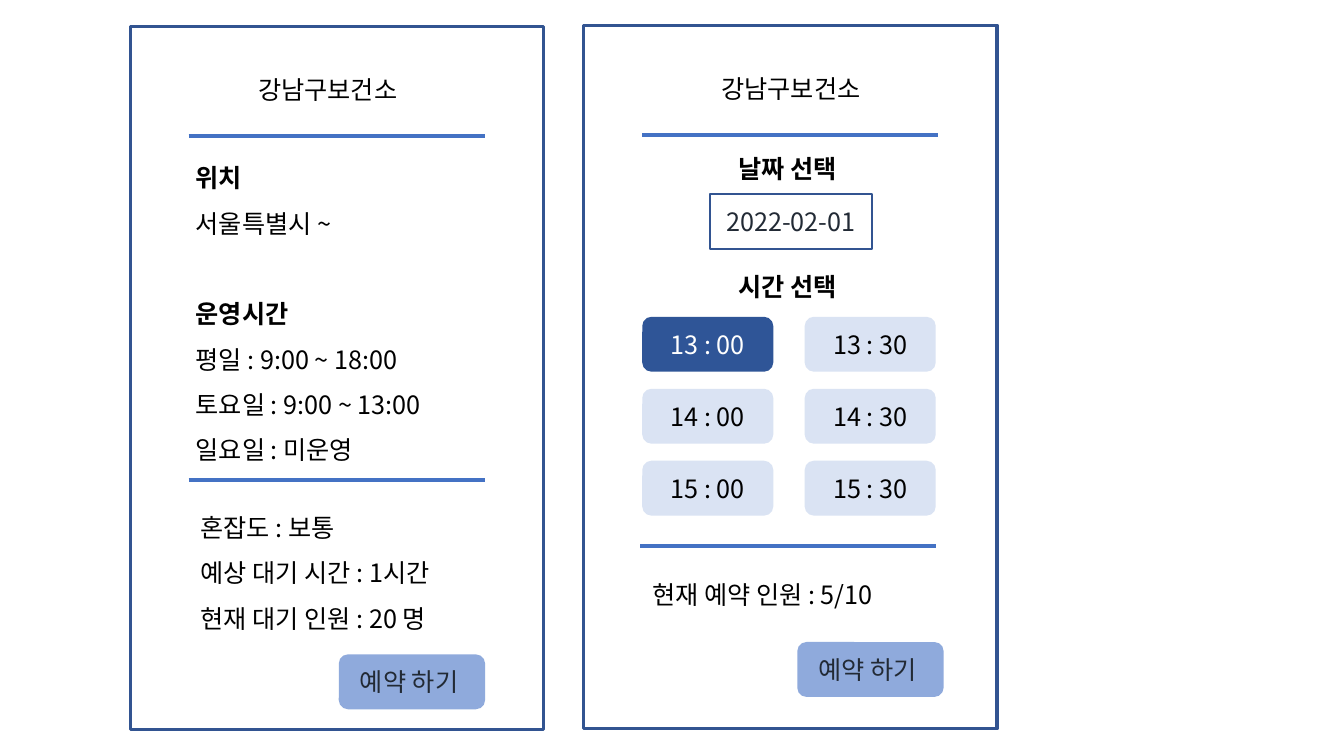
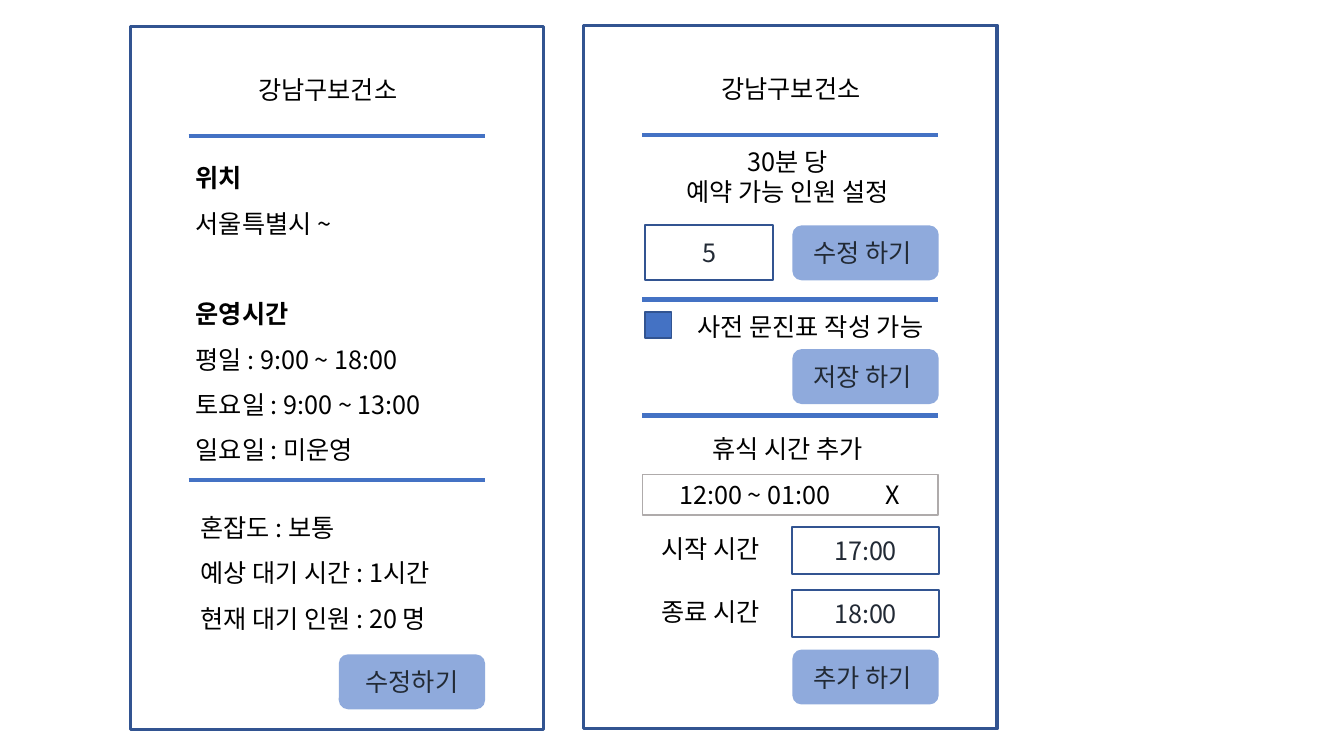
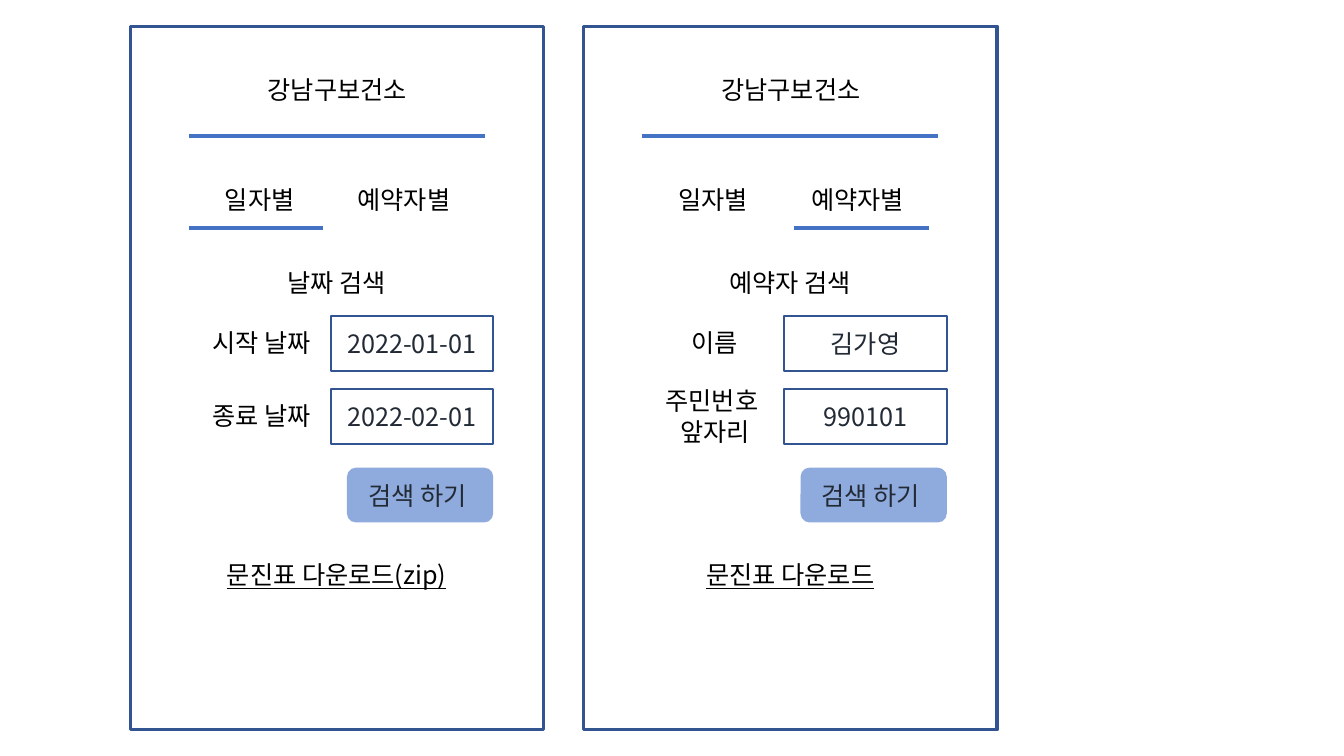
from dataclasses import dataclass
from itertools import product

from lxml.etree import SubElement
from pptx import Presentation
from pptx.dml.color import RGBColor
from pptx.enum.shapes import MSO_CONNECTOR as Connector, MSO_SHAPE as Preset
from pptx.enum.text import MSO_ANCHOR as Anchor, MSO_AUTO_SIZE as AutoSize, PP_ALIGN as Align
from pptx.oxml.ns import qn
from pptx.util import Pt


@dataclass(frozen=True)
class Theme:
    font: str = "Noto Sans CJK KR"
    size: float = 18
    black: str = "000000"
    white: str = "FFFFFF"
    ink: str = "222A35"
    border: str = "325491"
    accent: str = "4472C4"
    button: str = "8FAADC"
    slot: str = "DAE3F3"
    chosen: str = "2F5597"
    grey: str = "AFABAB"


THEME = Theme()
CLINIC = "강남구보건소"
LEFT, RIGHT = 93, 417
INSET, CONTENT_WIDTH = 41.8, 211.4
BUTTON_WIDTH, FIELD_WIDTH, BOX_HEIGHT = 104.5, 116, 39.2
LOCATION = "위치\n서울특별시 ~\n운영시간\n평일 : 9:00 ~ 18:00\n토요일 : 9:00 ~ 13:00\n일요일 : 미운영"
WAITING = "혼잡도 : 보통\n예상 대기 시간 : 1시간\n현재 대기 인원 : 20 명"


def apply_format(target, values):
    for name, value in values.items():
        setattr(target, name, value)


def place(shape, left, top, width, height):
    box = dict(left=left, top=top, width=width, height=height)
    apply_format(shape, {name: Pt(value) for name, value in box.items()})


def write(shape, text, colour=THEME.black, align=Align.CENTER, anchor=Anchor.TOP,
          spacing=1.0, bold=False, underline=False):
    frame = shape.text_frame
    apply_format(frame, dict(text=text, word_wrap=True, auto_size=AutoSize.NONE,
                             vertical_anchor=anchor))
    for paragraph in frame.paragraphs:
        apply_format(paragraph, dict(alignment=align, line_spacing=spacing, space_before=Pt(0)))
        for run in paragraph.runs:
            apply_format(run.font, dict(name=THEME.font, size=Pt(THEME.size),
                                        bold=bold, underline=underline))
            run.font.color.rgb = RGBColor.from_string(colour)
            SubElement(run._r.get_or_add_rPr(), qn("a:ea"), typeface=THEME.font)


def add_text(slide, left, top, width, height, text, **style):
    label = slide.shapes.add_textbox(Pt(left), Pt(top), Pt(width), Pt(height))
    write(label, text, **style)
    return label


def add_box(slide, left, top, width, height, fill=None, line=None, weight=1.5, preset=Preset.RECTANGLE):
    shape = slide.shapes.add_shape(preset, Pt(left), Pt(top), Pt(width), Pt(height))
    shape.shadow.inherit = False
    if fill:
        shape.fill.solid()
        shape.fill.fore_color.rgb = RGBColor.from_string(fill)
    else:
        shape.fill.background()
    if line:
        shape.line.color.rgb = RGBColor.from_string(line)
        shape.line.width = Pt(weight)
    else:
        shape.line.fill.background()
    return shape


def add_button(slide, left, top, text, width=BUTTON_WIDTH, fill=THEME.button, colour=THEME.ink):
    button = add_box(slide, left, top, width, BOX_HEIGHT, fill, preset=Preset.ROUNDED_RECTANGLE)
    write(button, text, colour, anchor=Anchor.MIDDLE)


def add_field(slide, left, top, text, width=FIELD_WIDTH, height=BOX_HEIGHT):
    field = add_box(slide, left, top, width, height, THEME.white, THEME.border)
    write(field, text, THEME.ink, anchor=Anchor.MIDDLE)


def add_rule(slide, left, top, width=CONTENT_WIDTH):
    rule = slide.shapes.add_connector(Connector.STRAIGHT, Pt(left), Pt(top), Pt(left + width), Pt(top))
    rule.line.color.rgb = RGBColor.from_string(THEME.accent)
    rule.line.width = Pt(3)
    SubElement(rule._element.spPr, qn("a:effectLst"))


def add_panel(slide, left, top, align=Align.CENTER):
    add_box(slide, left, top, 295.2, 502.6, line=THEME.border, weight=2.25)
    add_rule(slide, left + INSET, top + 78.3)
    heading = (left + 84.2, top + 31, 127.5, 29)
    if left == LEFT:
        place(slide.shapes.title, *heading)
        write(slide.shapes.title, CLINIC, align=align)
    else:
        add_text(slide, *heading, CLINIC, align=align)


def add_location(slide):
    body = slide.placeholders[1]
    place(body, LEFT + 39.6, 101.7, CONTENT_WIDTH, 232)
    write(body, LOCATION, align=Align.LEFT, spacing=1.5)
    paragraphs = body.text_frame.paragraphs
    for paragraph in paragraphs:
        properties = paragraph._p.get_or_add_pPr()
        properties.set("marL", "0")
        properties.set("indent", "0")
        SubElement(properties, qn("a:buNone"))
    for heading in (paragraphs[0], paragraphs[2]):
        heading.runs[0].font.bold = True
    paragraphs[2].space_before = Pt(32.4)


def add_clinic_panel(slide, action):
    add_panel(slide, LEFT, 18.7, Align.LEFT)
    add_location(slide)
    add_rule(slide, LEFT + INSET, 342.7)
    add_text(slide, LEFT + 43.2, 351.5, CONTENT_WIDTH, 101.5, WAITING, align=Align.LEFT, spacing=1.5)
    add_button(slide, LEFT + 149, 467.4, action)


def add_booking_panel(slide):
    add_panel(slide, RIGHT, 18)
    for top, text in ((105.8, "날짜 선택"), (190, "시간 선택")):
        add_text(slide, RIGHT + 82, top, 127.5, 29, text, bold=True)
    add_field(slide, RIGHT + 90, 138.8, "2022-02-01")
    for row, column in product(range(3), range(2)):
        chosen = row == column == 0
        add_button(slide, RIGHT + INSET + 116 * column, 226.3 + 51.4 * row,
                   f"{13 + row} : {30 * column:02}", 93.6,
                   THEME.chosen if chosen else THEME.slot,
                   THEME.white if chosen else THEME.black)
    add_rule(slide, RIGHT + 40.3, 389.8)
    add_text(slide, RIGHT + INSET, 399.6, CONTENT_WIDTH, 36, "현재 예약 인원 : 5/10",
             align=Align.LEFT, spacing=1.5)
    add_button(slide, RIGHT + 152.5, 458.6, "예약 하기 ")


def add_break_row(slide, left):
    row = add_box(slide, left, 338.9, CONTENT_WIDTH, 29, line=THEME.grey, weight=1)
    write(row, "\t12:00 ~ 01:00\tX", align=Align.LEFT)
    tabs = SubElement(row.text_frame.paragraphs[0]._p.get_or_add_pPr(), qn("a:tabLst"))
    for position in (19.5, 167):
        SubElement(tabs, qn("a:tab"), pos=str(Pt(position)), algn="l")


def add_settings_panel(slide):
    left, action_left = RIGHT + INSET, RIGHT + 149
    add_panel(slide, RIGHT, 18)
    add_text(slide, left, 100.8, CONTENT_WIDTH, 51, "30분 당 \n예약 가능 인원 설정 ")
    add_field(slide, left + 2, 161, "5", 91.5)
    for top, text in ((161, "수정 하기 "), (249.4, "저장 하기 "), (464, "추가 하기 ")):
        add_button(slide, action_left, top, text)
    for top in (214, 296.8):
        add_rule(slide, left, top)
    add_box(slide, left + 2, 222.8, 18.7, 18.7, THEME.accent, THEME.border, 1)
    add_text(slide, left + 14.4, 218.9, CONTENT_WIDTH, 29, "사전 문진표 작성 가능")
    add_text(slide, left, 306, CONTENT_WIDTH, 29, "휴식 시간 추가 ")
    add_break_row(slide, left)
    for top, label, time in ((376.3, "시작 시간", "17:00"), (421.3, "종료 시간", "18:00")):
        add_text(slide, left + 2, top + 1, 93.6, 29, label)
        add_field(slide, action_left, top, time, BUTTON_WIDTH, 33.8)


def add_search_panel(slide, left, tab_left, title, rows, download):
    add_panel(slide, left, 18.7)
    for tab, text in ((47.5, "일자별"), (150.5, "예약자별")):
        add_text(slide, left + tab, 128.2, 90, 29, text)
    add_rule(slide, left + tab_left, 162.7, 95.8)
    add_text(slide, left + INSET, 176.4, CONTENT_WIDTH, 36, title, spacing=1.5)
    for row, (label, value) in enumerate(rows):
        top = 226 + 52 * row
        extra_lines = label.count("\n")
        add_text(slide, left + 46.8, top + 4.4 - 10.4 * extra_lines, 93.6, 29 + 22 * extra_lines, label)
        add_field(slide, left + 143.3, top, value)
    add_button(slide, left + 154.8, 334, "검색 하기 ")
    add_text(slide, left + INSET, 385.2, CONTENT_WIDTH, 36, download, spacing=1.5, underline=True)


def main():
    presentation = Presentation()
    apply_format(presentation, dict(slide_width=Pt(960), slide_height=Pt(540)))
    content_layout, title_layout = presentation.slide_layouts[1], presentation.slide_layouts[5]

    booking = presentation.slides.add_slide(content_layout)
    add_clinic_panel(booking, "예약 하기 ")
    add_booking_panel(booking)

    settings = presentation.slides.add_slide(content_layout)
    add_clinic_panel(settings, "수정하기")
    add_settings_panel(settings)

    search = presentation.slides.add_slide(title_layout)
    add_search_panel(search, LEFT, INSET, "날짜 검색",
                     (("시작 날짜", "2022-01-01"), ("종료 날짜", "2022-02-01")),
                     "문진표 다운로드(zip)")
    add_search_panel(search, RIGHT, 150.5, "예약자 검색",
                     (("이름", "김가영"), ("주민번호 \n앞자리", "990101")),
                     "문진표 다운로드")
    presentation.save("out.pptx")


main()
